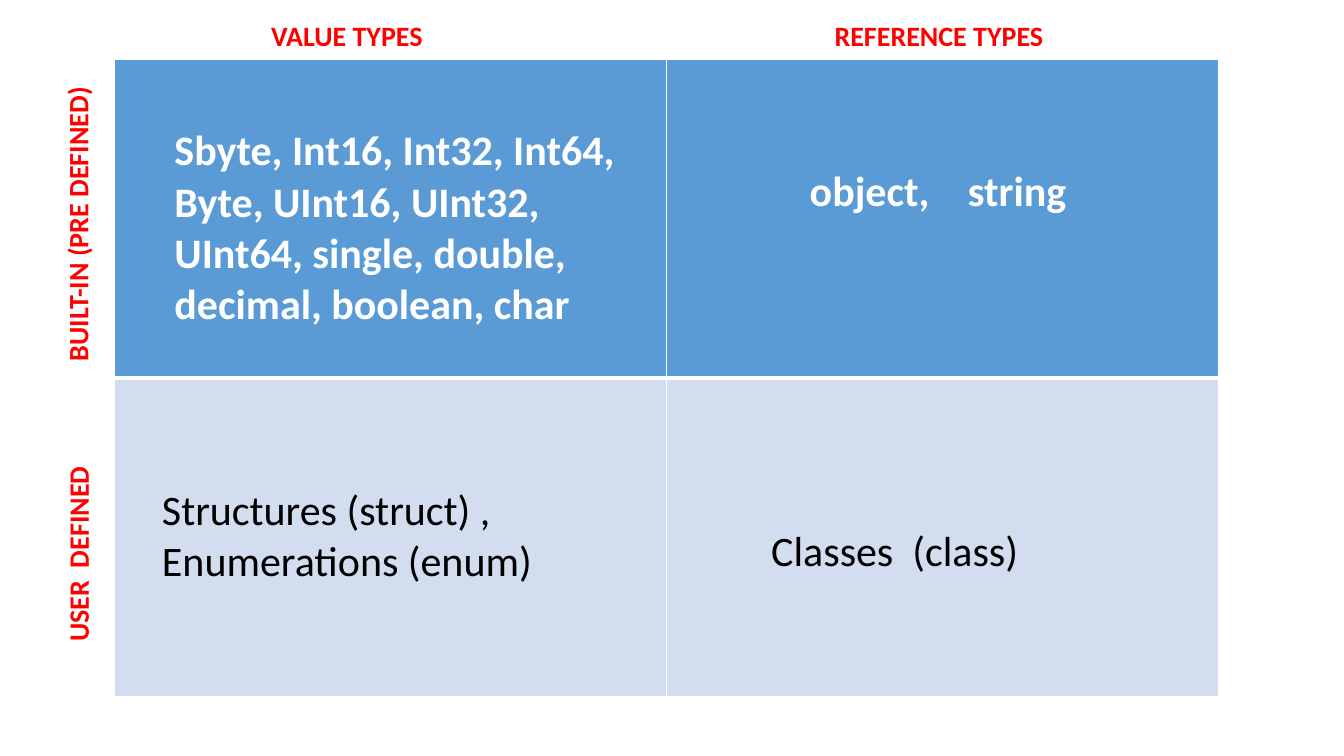
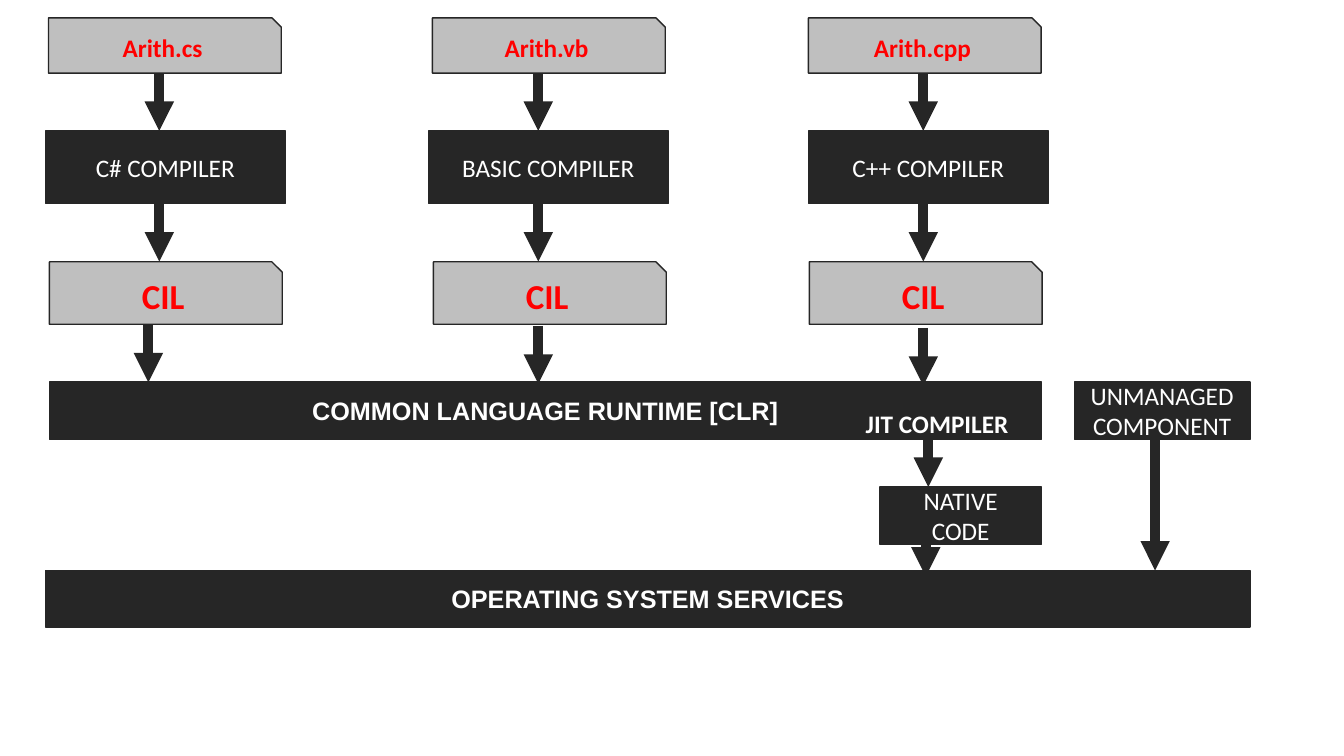
from lxml import etree
from pptx import Presentation
from pptx.dml.color import RGBColor
from pptx.enum.shapes import MSO_CONNECTOR, MSO_SHAPE
from pptx.enum.text import MSO_ANCHOR, MSO_AUTO_SIZE, PP_ALIGN
from pptx.oxml.ns import qn
from pptx.util import Pt

RECTANGLE = MSO_SHAPE.RECTANGLE
SNIPPED = MSO_SHAPE.SNIP_1_RECTANGLE
STRAIGHT = MSO_CONNECTOR.STRAIGHT
LEFT, CENTER = PP_ALIGN.LEFT, PP_ALIGN.CENTER
MIDDLE = MSO_ANCHOR.MIDDLE
GROW = MSO_AUTO_SIZE.SHAPE_TO_FIT_TEXT

WHITE, BLACK, RED = "FFFFFF", "000000", "FF0000"
DARK, GREY = "262626", "BFBFBF"
BLUE, PALE_BLUE = "5B9BD5", "D2DEEF"


def rgb(value):
    return RGBColor.from_string(value)


def write(frame, text, size=18, color=WHITE, bold=False, font="Calibri", align=LEFT):
    """Fill a text frame, one paragraph for each line of text."""
    for index, line in enumerate(text.split("\n")):
        para = frame.paragraphs[0] if index == 0 else frame.add_paragraph()
        para.alignment = align
        span = para.add_run()
        span.text = line
        span.font.name = font
        span.font.size = Pt(size)
        span.font.bold = bold
        span.font.color.rgb = rgb(color)


def add_label(page, text, left, top, width, height=31.7, rotation=0, **style):
    box = page.shapes.add_textbox(Pt(left), Pt(top), Pt(width), Pt(height))
    box.rotation = rotation
    box.text_frame.word_wrap = False
    box.text_frame.auto_size = GROW
    write(box.text_frame, text, bold=True, **style)


def add_box(page, text, left, top, width, height, kind=RECTANGLE, fill=DARK, **style):
    box = page.shapes.add_shape(kind, Pt(left), Pt(top), Pt(width), Pt(height))
    box.shadow.inherit = False
    box.fill.solid()
    box.fill.fore_color.rgb = rgb(fill)
    box.line.color.rgb = rgb(DARK)
    box.line.width = Pt(1)
    box.text_frame.vertical_anchor = MIDDLE
    write(box.text_frame, text, align=CENTER, **style)


def add_file(page, text, left, top, height, size):
    add_box(page, text, left, top, 166.3, height, kind=SNIPPED, fill=GREY,
            size=size, color=RED, bold=True)


def add_arrow(page, x, top, bottom):
    arrow = page.shapes.add_connector(STRAIGHT, Pt(x), Pt(top), Pt(x), Pt(bottom))
    arrow.line.color.rgb = rgb(DARK)
    arrow.line.width = Pt(7)
    line = arrow.line._get_or_add_ln()
    etree.SubElement(line, qn("a:tailEnd"), type="triangle")
    etree.SubElement(arrow._element.spPr, qn("a:effectLst"))


def set_borders(cell, **widths):
    """Draw white cell borders; sides are L, R, T and B, widths in points."""
    properties = cell._tc.get_or_add_tcPr()
    for side in "LRTB":
        width = str(Pt(widths.get(side, 1)))
        line = etree.SubElement(properties, qn(f"a:ln{side}"), w=width)
        fill = etree.SubElement(line, qn("a:solidFill"))
        etree.SubElement(fill, qn("a:srgbClr"), val=WHITE)


def set_tab(para, position):
    tabs = etree.SubElement(para._p.get_or_add_pPr(), qn("a:tabLst"))
    etree.SubElement(tabs, qn("a:tab"), pos=str(Pt(position)), algn="l")


def fill_cell(cell, text, left, top, is_header):
    set_borders(cell, **({"B": 3} if is_header else {"T": 3}))
    cell.fill.solid()
    cell.fill.fore_color.rgb = rgb(BLUE if is_header else PALE_BLUE)
    cell.margin_left, cell.margin_top = Pt(left), Pt(top)
    write(cell.text_frame, text, size=30, bold=is_header,
          color=WHITE if is_header else BLACK)


def build_types_page(page):
    rows = [
        [("Sbyte, Int16, Int32, Int64, Byte, UInt16, UInt32, UInt64, "
          "single, double, decimal, boolean, char", 43.2, 47.5),
         ("object,\tstring", 102.5, 76.8)],
        [("Structures (struct) ,\nEnumerations (enum)", 34.3, 76.8),
         ("Classes  (class)", 75, 106)],
    ]
    table = page.shapes.add_table(2, 2, Pt(81.4), Pt(42.5), Pt(789), Pt(455)).table
    for row, contents in enumerate(rows):
        for column, (text, left, top) in enumerate(contents):
            fill_cell(table.cell(row, column), text, left, top, is_header=row == 0)
    set_tab(table.cell(0, 1).text_frame.paragraphs[0], 113)

    for text, left, top, width, rotation in [
        ("BUILT-IN (PRE DEFINED)", -51.1, 142.6, 213.1, 270),
        ("USER  DEFINED", -14.4, 379.4, 140.4, 270),
        ("VALUE TYPES", 186.5, 9.4, 128.2, 0),
        ("REFERENCE TYPES", 589, 9.4, 169.2, 0),
    ]:
        add_label(page, text, left, top, width, rotation=rotation, size=20, color=RED)


def build_runtime_page(page):
    # Source, compiler, file left, compiler left, arrow x, runtime arrow x and top
    languages = [
        ("Arith.cs", "C# COMPILER", 34.6, 32.4, 113.8, 106, 231.8),
        ("Arith.vb", "BASIC COMPILER", 308.9, 306, 384.5, 384.5, 232.8),
        ("Arith.cpp", "C++ COMPILER", 577.4, 577.4, 659.5, 659.5, 234.2),
    ]
    for source, compiler, file_left, left, arrow_x, runtime_x, runtime_top in languages:
        add_file(page, source, file_left, 12.8, 39.4, 18)
        add_box(page, compiler, left, 93.5, 171.4, 51.8)
        add_file(page, "CIL", file_left + 0.7, 187, 44.6, 25)
        add_arrow(page, arrow_x, 52, 93.5)
        add_arrow(page, arrow_x, 145.3, 186.8)
        add_arrow(page, runtime_x, runtime_top, runtime_top + 41.3)

    heading = {"font": "Arial", "bold": True}
    add_box(page, "COMMON LANGUAGE RUNTIME [CLR]", 35.3, 272.9, 708.5, 41, **heading)
    add_box(page, "UNMANAGED\nCOMPONENT", 767.5, 272.9, 125.3, 41)
    add_box(page, "OPERATING SYSTEM SERVICES", 32.4, 407.5, 860.4, 40.3, **heading)
    add_box(page, "NATIVE\nCODE", 628.6, 347.8, 115.2, 41)
    for x, top, bottom in [(825.1, 313.9, 407.5), (663.1, 311.8, 347.8),
                           (661.3, 384.5, 411.8)]:
        add_arrow(page, x, top, bottom)
    add_label(page, "JIT COMPILER", 611.3, 288, 117.4, 28.8)


def main():
    deck = Presentation()
    deck.slide_width, deck.slide_height = Pt(960), Pt(540)
    blank = deck.slide_layouts[6]
    for build in (build_types_page, build_runtime_page):
        build(deck.slides.add_slide(blank))
    deck.save("out.pptx")


if __name__ == "__main__":
    main()
